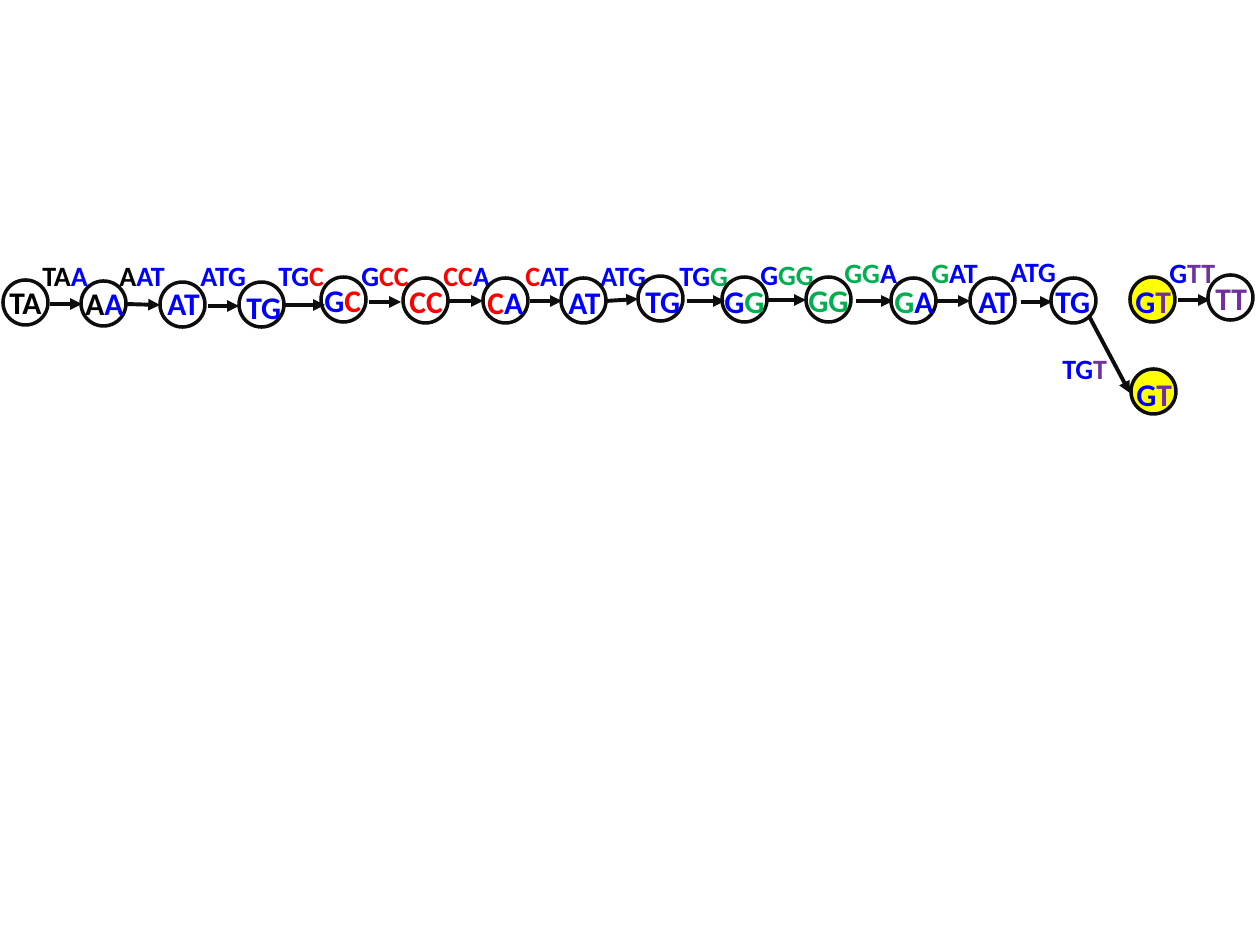
from itertools import groupby

from lxml.etree import SubElement
from pptx import Presentation
from pptx.dml.color import RGBColor
from pptx.enum.shapes import MSO_CONNECTOR, MSO_SHAPE
from pptx.enum.text import MSO_AUTO_SIZE
from pptx.oxml.ns import qn
from pptx.util import Pt

# Content: letters, colour key of each letter, then places in px
# Node: circle left and top, label left, top and width, fill
NODES = [
    ("TA", "KK", (3, 280), (-3, 277, 60), None),
    ("AA", "KB", (81, 281), (73, 278, 64), None),
    ("AT", "BB", (160, 282), (155, 278, 60), None),
    ("TG", "BB", (239, 282), (234, 282, 62), None),
    ("GC", "BR", (321, 277), (312, 275, 63), None),
    ("CC", "RR", (403, 278), (397, 276, 59), None),
    ("CA", "RB", (483, 278), (475, 277, 62), None),
    ("AT", "BB", (561, 278), (556, 277, 60), None),
    ("TG", "BB", (638, 276), (633, 276, 62), None),
    ("GG", "BG", (722, 277), (712, 276, 66), None),
    ("GG", "GG", (806, 277), (796, 275, 66), None),
    ("GA", "GB", (891, 278), (882, 276, 66), None),
    ("AT", "BB", (970, 278), (966, 276, 60), None),
    ("TG", "BB", (1051, 278), (1043, 276, 62), None),
    ("GT", "BP", (1131, 369), (1124, 369, 62), "highlight"),
    ("GT", "BP", (1130, 277), (1123, 276, 62), "highlight"),
    ("TT", "PP", (1208, 275), (1203, 273, 57), None),
]
# Edge: label left, top and width, arrow start and end
EDGES = [
    ("TAA", "KKB", (30, 252, 74), (50, 304), (82, 304)),
    ("AAT", "KBB", (107, 252, 74), (126, 304), (160, 305)),
    ("ATG", "BBB", (188, 252, 74), (208, 306), (239, 306)),
    ("TGC", "BBR", (266, 252, 73), (285, 305), (325, 305)),
    ("GCC", "BRR", (349, 252, 73), (369, 302), (401, 302)),
    ("CCA", "RRB", (431, 252, 73), (449, 301), (483, 301)),
    ("CAT", "RBB", (513, 252, 72), (530, 301), (562, 301)),
    ("ATG", "BBB", (588, 252, 74), (606, 301), (638, 299)),
    ("TGG", "BBG", (667, 252, 76), (687, 301), (725, 301)),
    ("GGG", "BGG", (748, 251, 79), (767, 300), (806, 300)),
    ("GGA", "GGB", (832, 249, 79), (856, 301), (893, 301)),
    ("GAT", "GBB", (919, 249, 74), (936, 301), (970, 301)),
    ("ATG", "BBB", (998, 248, 74), (1021, 302), (1052, 302)),
    ("TGT", "BBP", (1050, 345, 72), (1089, 316), (1130, 393)),
    ("GTT", "BPP", (1157, 249, 72), (1178, 300), (1210, 300)),
]

THEME = {
    "font": "Calibri",
    "node_size": 18, "edge_size": 16,
    "node_line": 2, "edge_line": 2.25,
    "line": "0D0D0D", "highlight": "FFFF00",
    "K": "000000", "B": "0000FF", "R": "FF0000", "G": "00B050", "P": "7030A0",
}
PX = 914400 // 126
DIAMETER = 45
NODE_HEIGHT, EDGE_HEIGHT = 50, 47


def color(name):
    return RGBColor.from_string(THEME[name])


def px(*values):
    return [v * PX for v in values]


def add_label(slide, letters, keys, place, height, size):
    tf = slide.shapes.add_textbox(*px(*place, height)).text_frame
    tf.word_wrap = False
    tf.auto_size = MSO_AUTO_SIZE.SHAPE_TO_FIT_TEXT
    p = tf.paragraphs[0]
    p.font.name = THEME["font"]
    p.font.size = Pt(THEME[size])
    p.font.bold = True
    # One run for each stretch of equal colour
    for key, pairs in groupby(zip(letters, keys), key=lambda pair: pair[1]):
        r = p.add_run()
        r.text = "".join(letter for letter, _ in pairs)
        r.font.color.rgb = color(key)


def add_circle(slide, place, fill):
    s = slide.shapes.add_shape(MSO_SHAPE.OVAL, *px(*place, DIAMETER, DIAMETER))
    s.shadow.inherit = False
    if fill:
        s.fill.solid()
        s.fill.fore_color.rgb = color(fill)
    else:
        s.fill.background()
    s.line.color.rgb = color("line")
    s.line.width = Pt(THEME["node_line"])


def add_arrow(slide, start, end):
    s = slide.shapes.add_connector(MSO_CONNECTOR.STRAIGHT, *px(*start, *end))
    s.line.color.rgb = color("line")
    s.line.width = Pt(THEME["edge_line"])
    SubElement(s.line._get_or_add_ln(), qn("a:tailEnd"), type="triangle")
    SubElement(s._element.spPr, qn("a:effectLst"))


def main():
    prs = Presentation()
    prs.slide_width, prs.slide_height = px(1260, 945)
    slide = prs.slides.add_slide(prs.slide_layouts[6])

    # Arrows with their three-letter labels
    for letters, keys, place, start, end in EDGES:
        add_arrow(slide, start, end)
        add_label(slide, letters, keys, place, EDGE_HEIGHT, "edge_size")

    # Circles with their two-letter labels
    for letters, keys, circle, place, fill in NODES:
        add_circle(slide, circle, fill)
        add_label(slide, letters, keys, place, NODE_HEIGHT, "node_size")

    prs.save("out.pptx")


if __name__ == "__main__":
    main()
